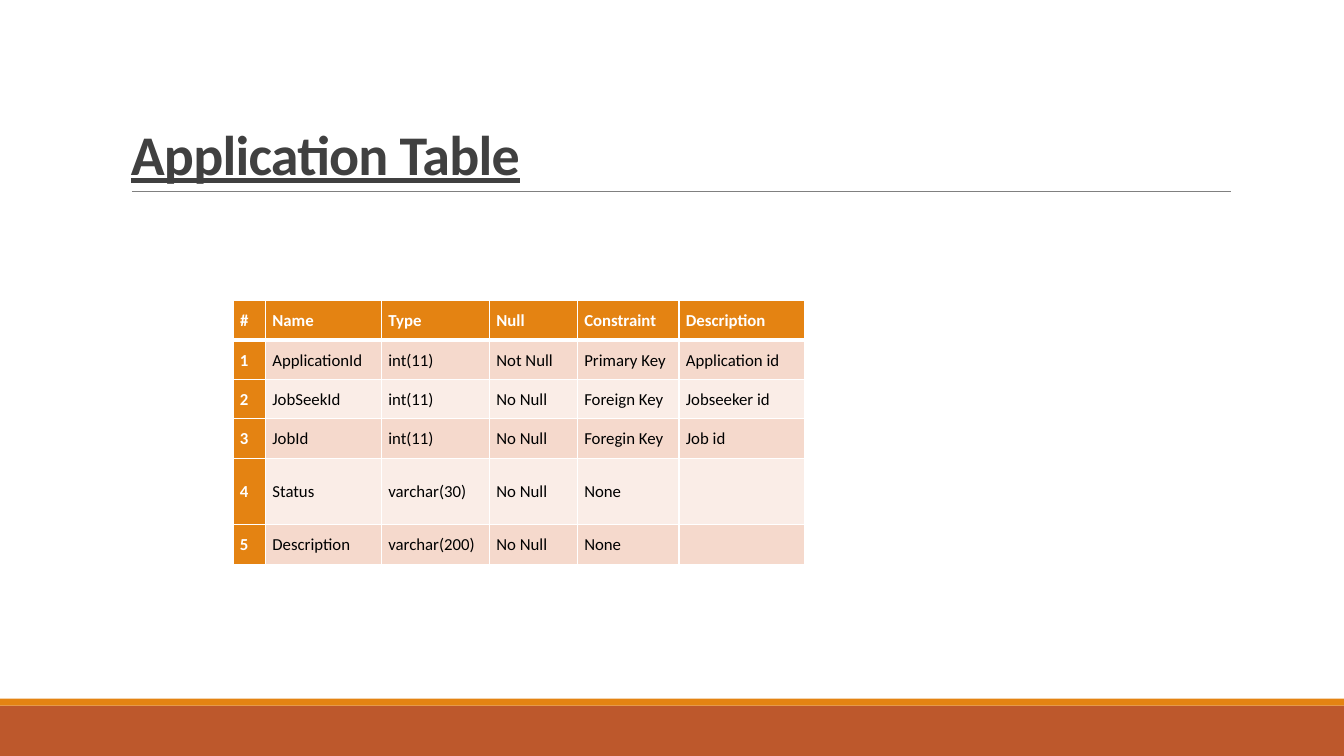
from dataclasses import dataclass
from typing import Any

from lxml import etree
from pptx import Presentation
from pptx import util as u
from pptx.dml.color import RGBColor
from pptx.enum import shapes, text
from pptx.oxml import ns


@dataclass(frozen=True)
class Theme:
    font: str = "Calibri"
    title_size: float = 40
    cell_size: float = 12
    title: str = "404040"
    rule: str = "808080"
    accent: str = "E48312"
    footer: str = "BD582C"
    bands: tuple[str, str] = ("F5D9CC", "FAEDE7")
    light: str = "FFFFFF"
    dark: str = "000000"


@dataclass(frozen=True)
class Bar:
    top: float
    height: float
    color: str


THEME = Theme()
WIDTH, HEIGHT = 960, 540
BARS = (Bar(504, 36, THEME.footer), Bar(499, 5, THEME.accent))

TABLE_LEFT, TABLE_TOP = 166.6, 214.6
COLUMN_WIDTHS = (23, 82.8, 77.2, 62.8, 72.6, 89.6)
ROW_HEIGHTS = (28.2, 28.2, 28.2, 28.2, 47.5, 28.2)
ROWS = (
    ("#", "Name", "Type", "Null", "Constraint", "Description"),
    ("1", "ApplicationId", "int(11)", "Not Null", "Primary Key", "Application id"),
    ("2", "JobSeekId", "int(11)", "No Null", "Foreign Key", "Jobseeker id"),
    ("3", "JobId", "int(11)", "No Null", "Foregin Key", "Job id"),
    ("4", "Status", "varchar(30)", "No Null", "None", ""),
    ("5", "Description", "varchar(200)", "No Null", "None", ""),
)


def set_attributes(target: Any, formats: dict[str, Any]) -> None:
    for name, value in formats.items():
        setattr(target, name, value)


def add_run(p: Any, wording: str, color: str, formats: dict[str, Any]) -> Any:
    r = p.add_run()
    r.text = wording
    set_attributes(r.font, {"name": THEME.font, **formats})
    r.font.color.rgb = RGBColor.from_string(color)
    return r


def add_bar(s: Any, bar: Bar) -> None:
    sp = s.shapes.add_shape(shapes.MSO_SHAPE.RECTANGLE, 0, u.Pt(bar.top),
                            u.Pt(WIDTH), u.Pt(bar.height))
    sp.shadow.inherit = False
    sp.fill.solid()
    sp.fill.fore_color.rgb = RGBColor.from_string(bar.color)
    sp.line.fill.background()


def add_title_rule(s: Any) -> None:
    line = s.shapes.add_connector(shapes.MSO_CONNECTOR.STRAIGHT, u.Pt(94.3),
                                  u.Pt(136.8), u.Pt(879), u.Pt(136.8))
    line.line.width = u.Pt(0.5)
    line.line.color.rgb = RGBColor.from_string(THEME.rule)
    etree.SubElement(line._element.spPr, ns.qn("a:effectLst"))


def add_title(s: Any, wording: str) -> None:
    sp = s.shapes.add_textbox(u.Pt(86.4), u.Pt(22.6), u.Pt(792), u.Pt(114.2))
    tf = sp.text_frame
    set_attributes(tf, {"word_wrap": True,
                        "vertical_anchor": text.MSO_ANCHOR.BOTTOM})
    p = tf.paragraphs[0]
    p.line_spacing = 0.85
    r = add_run(p, wording, THEME.title,
                {"size": u.Pt(THEME.title_size), "bold": True, "underline": True})
    r.font._element.set("spc", "-50")


def add_borders(cell: Any, row: int) -> None:
    """Draw white cell edges, with a thicker one under the header row."""
    widths = {"L": 1, "R": 1, "T": 3 if row == 1 else 1, "B": 3 if row == 0 else 1}
    tc_pr = cell._tc.get_or_add_tcPr()
    for side, width in widths.items():
        ln = etree.SubElement(tc_pr, ns.qn(f"a:ln{side}"), w=str(u.Pt(width)))
        fill = etree.SubElement(ln, ns.qn("a:solidFill"))
        etree.SubElement(fill, ns.qn("a:srgbClr"), val=THEME.light)


def fill_cell(cell: Any, row: int, column: int, wording: str) -> None:
    heading = row == 0 or column == 0
    row_number = row > 0 and column == 0
    set_attributes(cell, {
        "margin_left": u.Pt(3.6),
        "margin_right": u.Pt(12.2 if row_number else 3.6),
        "margin_top": u.Pt(1.4),
        "margin_bottom": u.Pt(1.4),
        "vertical_anchor": text.MSO_ANCHOR.MIDDLE,
    })
    add_borders(cell, row)
    cell.fill.solid()
    cell.fill.fore_color.rgb = RGBColor.from_string(
        THEME.accent if heading else THEME.bands[(row - 1) % 2])
    if not wording:
        return
    p = cell.text_frame.paragraphs[0]
    set_attributes(p, {
        "alignment": text.PP_ALIGN.RIGHT if row_number else text.PP_ALIGN.LEFT,
        "line_spacing": 1.07,
        "space_after": u.Pt(1.2),
    })
    p._p.get_or_add_pPr().set("marL", str(u.Pt(1.4)))
    add_run(p, wording, THEME.light if heading else THEME.dark,
            {"size": u.Pt(THEME.cell_size), "bold": heading})


def add_field_table(s: Any) -> None:
    table = s.shapes.add_table(
        len(ROWS), len(COLUMN_WIDTHS), u.Pt(TABLE_LEFT), u.Pt(TABLE_TOP),
        u.Pt(sum(COLUMN_WIDTHS)), u.Pt(sum(ROW_HEIGHTS))).table
    for column, width in zip(table.columns, COLUMN_WIDTHS):
        column.width = u.Pt(width)
    for row, height in zip(table.rows, ROW_HEIGHTS):
        row.height = u.Pt(height)
    for i, wordings in enumerate(ROWS):
        for j, wording in enumerate(wordings):
            fill_cell(table.cell(i, j), i, j, wording)


def main() -> None:
    prs = Presentation()
    set_attributes(prs, {"slide_width": u.Pt(WIDTH), "slide_height": u.Pt(HEIGHT)})
    s = prs.slides.add_slide(prs.slide_layouts[6])
    for bar in BARS:
        add_bar(s, bar)
    add_title_rule(s)
    add_title(s, "Application Table")
    add_field_table(s)
    prs.save("out.pptx")


if __name__ == "__main__":
    main()
